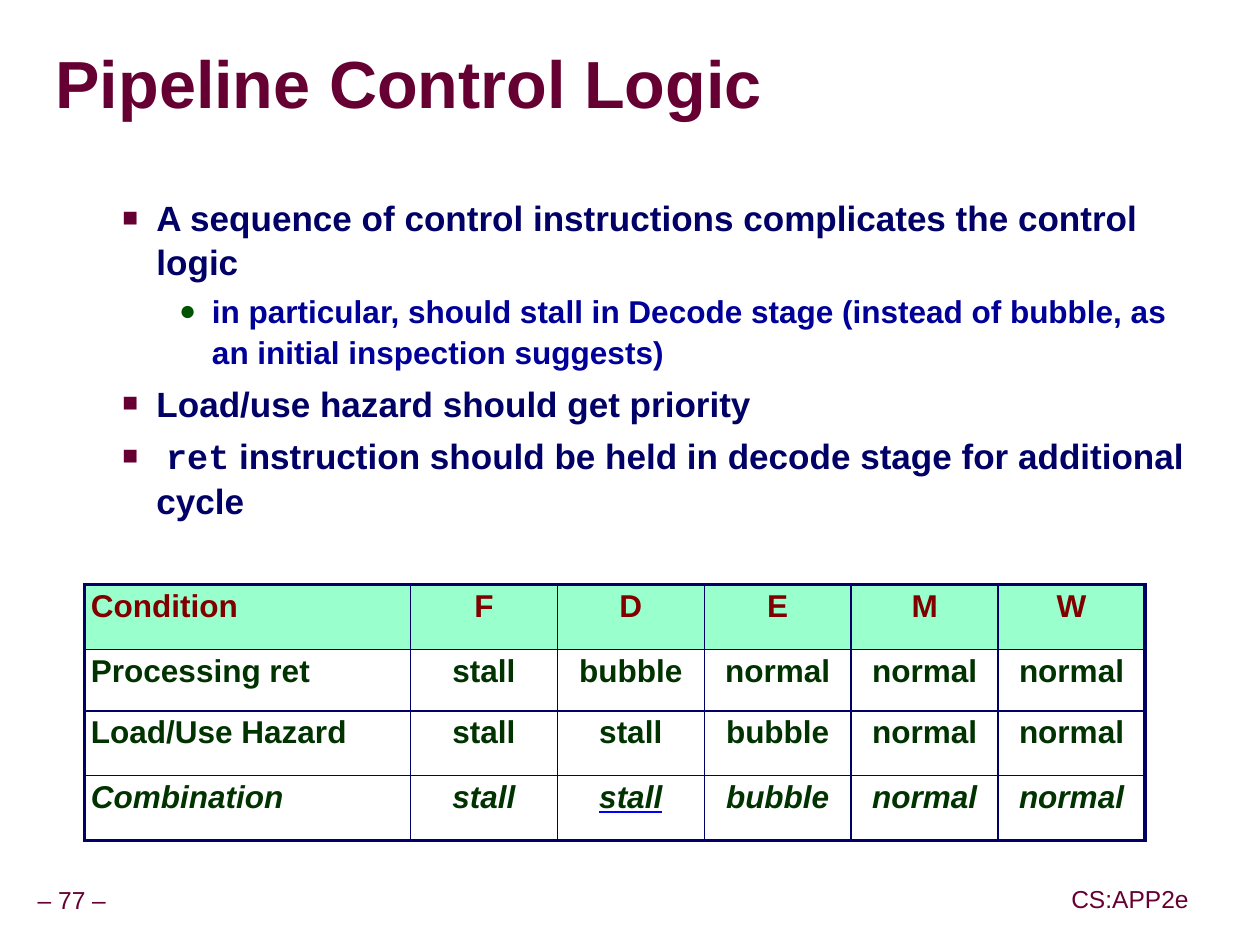
from lxml.etree import SubElement
from pptx import Presentation
from pptx.dml.color import RGBColor
from pptx.enum.text import MSO_ANCHOR as Anchor
from pptx.enum.text import MSO_AUTO_SIZE as AutoSize
from pptx.enum.text import PP_ALIGN as Align
from pptx.oxml.ns import qn
from pptx.util import Pt

WINE = RGBColor(0x66, 0x00, 0x33)
NAVY = RGBColor(0x00, 0x00, 0x66)
BLUE = RGBColor(0x00, 0x00, 0x99)
UNDERLINE_BLUE = RGBColor(0x00, 0x00, 0xFF)
BULLET_GREEN = RGBColor(0x00, 0x54, 0x00)
HEADER_RED = RGBColor(0x80, 0x00, 0x00)
CELL_GREEN = RGBColor(0x00, 0x33, 0x00)
MINT = RGBColor(0x99, 0xFF, 0xCC)
SHADOW_GRAY = RGBColor(0x96, 0x96, 0x96)

LEVELS = {
    1: dict(indent=58.3, hang=19.4, line=1.05, before=5, size=20, color=NAVY,
            bullet="■", bullet_color=WINE, bullet_size=75),
    2: dict(indent=90, hang=18.7, line=1.1, before=3, size=18, color=BLUE,
            bullet="●", bullet_color=BULLET_GREEN, bullet_size=90),
}

POINTS = [
    (1, [("A sequence of control instructions complicates the control logic", "Arial")]),
    (2, [("in particular, should stall in Decode stage (instead of bubble, "
          "as an initial inspection suggests)", "Arial")]),
    (1, [("Load/use hazard should get priority", "Arial")]),
    (1, [(" ", "Arial"), ("ret", "Courier New"),
         (" instruction should be held in decode stage for additional cycle", "Arial")]),
]

CONDITIONS = [
    ["Condition", "F", "D", "E", "M", "W"],
    ["Processing ret", "stall", "bubble", "normal", "normal", "normal"],
    ["Load/Use Hazard", "stall", "stall", "bubble", "normal", "normal"],
    ["Combination", "stall", "stall", "bubble", "normal", "normal"],
]
ROW_HEIGHTS = [37, 35, 37, 37]
COLUMN_WIDTHS = [186] + [83.9] * 5


def add_color(parent, color):
    return SubElement(parent, qn("a:srgbClr"), val=str(color))


def add_span(para, text, size, color, font="Arial", bold=False, italic=False,
             underline=None, shadow=None):
    """Append a run; underline and shadow are colours or None."""
    span = para.add_run()
    span.text = text
    span.font.size, span.font.bold, span.font.italic = Pt(size), bold, italic
    span.font.color.rgb = color
    props = span.font._element
    if shadow is not None:
        effects = SubElement(props, qn("a:effectLst"))
        outer = SubElement(effects, qn("a:outerShdw"), dist=str(Pt(3)), dir="2700000")
        add_color(outer, shadow)
    if underline is not None:
        span.font.underline = True
        line_fill = SubElement(props, qn("a:uFill"))
        add_color(SubElement(line_fill, qn("a:solidFill")), underline)
    span.font.name = font


def place(shape, left, top, width, height):
    shape.left, shape.top = Pt(left), Pt(top)
    shape.width, shape.height = Pt(width), Pt(height)


def set_margins(holder, horizontal, vertical):
    holder.margin_left = holder.margin_right = Pt(horizontal)
    holder.margin_top = holder.margin_bottom = Pt(vertical)


def fill_title(title, text):
    place(title, 31.7, 19.4, 685.4, 61.2)
    frame = title.text_frame
    frame.auto_size, frame.vertical_anchor = AutoSize.NONE, Anchor.MIDDLE
    set_margins(frame, 0, 0)
    para = frame.paragraphs[0]
    para.alignment, para.line_spacing = Align.LEFT, 0.87
    add_span(para, text, 38, WINE, bold=True, shadow=SHADOW_GRAY)


def format_point(para, level, first):
    style = LEVELS[level]
    para.level, para.alignment = level, Align.LEFT
    para.line_spacing = style["line"]
    para.space_before = Pt(0 if first else style["before"])
    para.space_after = Pt(0)
    props = para._p.get_or_add_pPr()
    props.set("marL", str(Pt(style["indent"])))
    props.set("indent", str(-Pt(style["hang"])))
    add_color(SubElement(props, qn("a:buClr")), style["bullet_color"])
    SubElement(props, qn("a:buSzPct"), val=str(style["bullet_size"] * 1000))
    SubElement(props, qn("a:buFont"), typeface="Arial")
    SubElement(props, qn("a:buChar"), char=style["bullet"])


def fill_body(body, points):
    place(body, 23.8, 107.3, 661, 180)
    frame = body.text_frame
    frame.auto_size, frame.vertical_anchor = AutoSize.NONE, Anchor.TOP
    set_margins(frame, 7.2, 3.6)
    for index, (level, spans) in enumerate(points):
        para = frame.add_paragraph() if index else frame.paragraphs[0]
        format_point(para, level, first=index == 0)
        for text, font in spans:
            add_span(para, text, LEVELS[level]["size"], LEVELS[level]["color"],
                     font=font, bold=True)


def set_borders(cell, outer_sides):
    """Rule all four sides, thicker on the table's edge."""
    props = cell._tc.get_or_add_tcPr()
    for side in "LRTB":
        width = Pt(2.25 if side in outer_sides else 1)
        line = SubElement(props, qn(f"a:ln{side}"), w=str(width))
        add_color(SubElement(line, qn("a:solidFill")), NAVY)


def add_condition_table(page, rows):
    frame = page.shapes.add_table(len(rows), len(rows[0]), Pt(48.3), Pt(333.7),
                                  Pt(sum(COLUMN_WIDTHS)), Pt(sum(ROW_HEIGHTS)))
    table = frame.table
    table.first_row = table.horz_banding = False
    for column, width in zip(table.columns, COLUMN_WIDTHS):
        column.width = Pt(width)
    for row, height in zip(table.rows, ROW_HEIGHTS):
        row.height = Pt(height)
    last_row, last_column = len(rows) - 1, len(rows[0]) - 1
    for r, texts in enumerate(rows):
        for c, text in enumerate(texts):
            cell = table.cell(r, c)
            edges = {"T": r == 0, "B": r == last_row, "L": c == 0, "R": c == last_column}
            set_borders(cell, [side for side, outer in edges.items() if outer])
            set_margins(cell, 3.6, 3.6)
            if r == 0:
                cell.fill.solid()
                cell.fill.fore_color.rgb = MINT
            else:
                cell.fill.background()
            para = cell.text_frame.paragraphs[0]
            para.alignment = Align.CENTER if c else Align.LEFT
            para.line_spacing = 0.95
            stressed = r == last_row and texts[0] == "Combination" and c == 2
            add_span(para, text, 18, CELL_GREEN if r else HEADER_RED, bold=True,
                     italic=r == last_row,
                     underline=UNDERLINE_BLUE if stressed else None)


def add_footer(page, text, left, top, width):
    box = page.shapes.add_textbox(Pt(left), Pt(top), Pt(width), Pt(22.3))
    frame = box.text_frame
    frame.word_wrap, frame.vertical_anchor = False, Anchor.MIDDLE
    set_margins(frame, 3.6, 3.6)
    para = frame.paragraphs[0]
    para.alignment, para.line_spacing = Align.CENTER, 0.9
    add_span(para, text, 14, WINE)


def main():
    deck = Presentation()
    deck.slide_width, deck.slide_height = Pt(719.3), Pt(539.3)
    page = deck.slides.add_slide(deck.slide_layouts[1])
    fill_title(page.shapes.title, "Pipeline Control Logic")
    fill_body(page.placeholders[1], POINTS)
    add_condition_table(page, CONDITIONS)
    add_footer(page, "– 77 –", 17.3, 503.3, 47.5)
    add_footer(page, "CS:APP2e", 607.7, 502.6, 74.9)
    deck.save("out.pptx")


if __name__ == "__main__":
    main()
